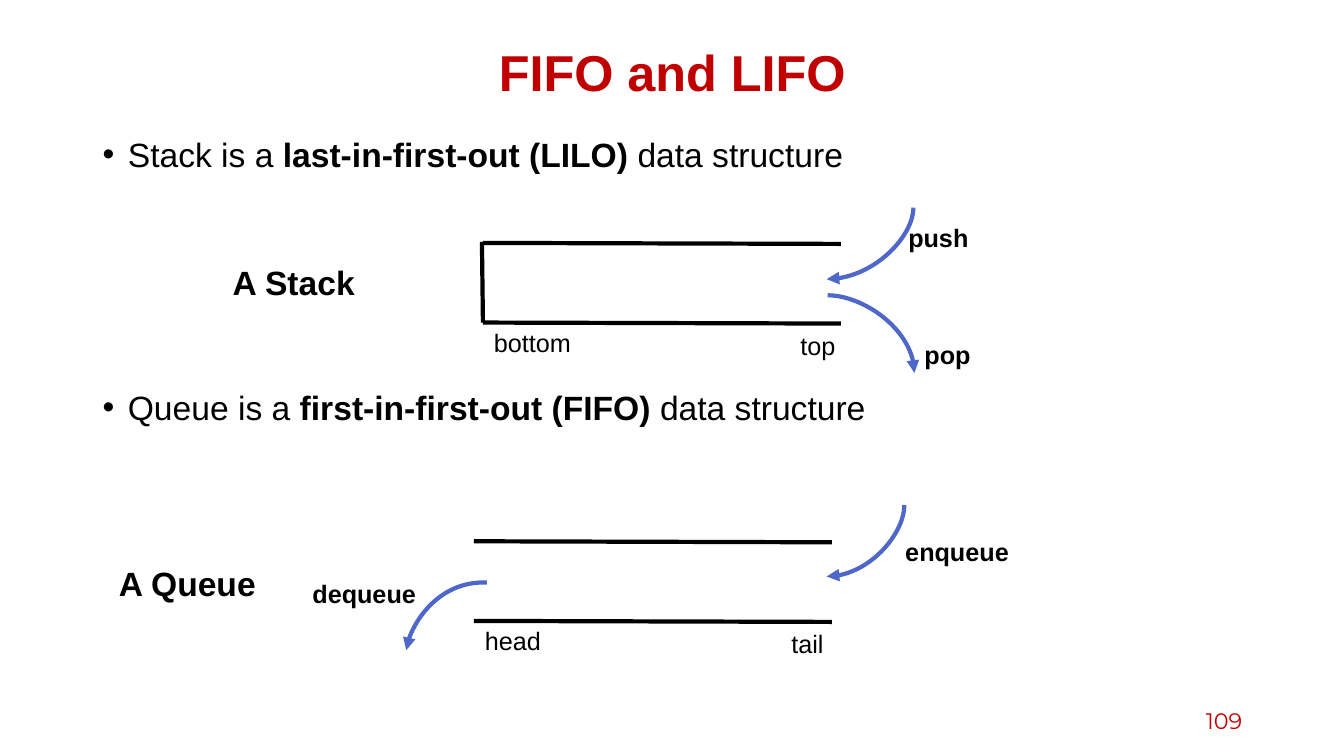
import pptx
import pptx.util
import pptx.dml.color
import pptx.enum.text
import pptx.enum.shapes
import pptx.oxml
import pptx.oxml.ns
from pptx.util import Inches

ALIGN = pptx.enum.text.PP_ALIGN
ANCHOR = pptx.enum.text.MSO_ANCHOR


def rgb(value):
    return pptx.dml.color.RGBColor.from_string(value)


def sub(parent, tag, **attrs):
    el = pptx.oxml.parse_xml(f"<a:{tag} {pptx.oxml.ns.nsdecls('a')}/>")
    for name, value in attrs.items():
        el.set(name, value)
    parent.append(el)
    return el


def add_run(p, text, size=18, bold=False, color="000000", font="Arial"):
    r = p.add_run()
    r.text = text
    r.font.size = pptx.util.Pt(size)
    r.font.bold = bold
    r.font.name = font
    r.font.color.rgb = rgb(color)


class Deck:
    black, red, blue = "000000", "C00000", "4E67C8"
    line_width = 3

    def __init__(self, width, height):
        self.prs = pptx.Presentation()
        self.prs.slide_width = Inches(width)
        self.prs.slide_height = Inches(height)
        self.s = self.prs.slides.add_slide(self.prs.slide_layouts[6])

    def frame(self, box, anchor=ANCHOR.TOP):
        tf = self.s.shapes.add_textbox(*map(Inches, box)).text_frame
        tf.word_wrap = True
        tf.vertical_anchor = anchor
        return tf

    def text(self, text, box, align=ALIGN.LEFT, anchor=ANCHOR.TOP, spacing=1.0, **fmt):
        p = self.frame(box, anchor).paragraphs[0]
        p.alignment = align
        p.line_spacing = spacing
        add_run(p, text, **fmt)

    def bullets(self, box, items, gap, size):
        tf = self.frame(box)
        for i, runs in enumerate(items):
            p = tf.add_paragraph() if i else tf.paragraphs[0]
            pPr = p._p.get_or_add_pPr()
            pPr.set("marL", str(Inches(0.25)))
            pPr.set("indent", str(-Inches(0.25)))
            sub(pPr, "buFont", typeface="Arial")
            sub(pPr, "buChar", char="•")
            p.line_spacing = 0.9
            if i:
                p.space_before = pptx.util.Pt(gap)
            for text, bold in runs:
                add_run(p, text, size=size, bold=bold)

    def stroke(self, sp, color):
        sp.line.color.rgb = rgb(color)
        sp.line.width = pptx.util.Pt(self.line_width)

    def line(self, x1, y1, x2, y2):
        sp = self.s.shapes.add_connector(
            pptx.enum.shapes.MSO_CONNECTOR.STRAIGHT, *map(Inches, (x1, y1, x2, y2)))
        self.stroke(sp, self.black)
        sub(sp._element.spPr, "effectLst")

    def curved_arrow(self, start, *points):
        fb = self.s.shapes.build_freeform(Inches(start[0]), Inches(start[1]))
        fb.add_line_segments([(Inches(x), Inches(y)) for x, y in points], close=False)
        sp = fb.convert_to_shape()
        sp.shadow.inherit = False
        sp.fill.background()
        self.stroke(sp, self.blue)
        sub(sp.line._get_or_add_ln(), "tailEnd", type="triangle")
        segments = sp._element.findall(".//" + pptx.oxml.ns.qn("a:lnTo"))
        curve = sub(segments[0].getparent(), "cubicBezTo")
        for segment in segments:
            curve.append(segment[0])
            segment.getparent().remove(segment)


def main():
    d = Deck(13.33, 7.5)
    d.text("FIFO and LIFO", (0.92, 0.4, 11.5, 0.7), align=ALIGN.CENTER,
           anchor=ANCHOR.MIDDLE, spacing=0.9, size=36, bold=True, color=d.red)
    d.bullets((0.92, 1.32, 11.5, 5.51), [
        [("Stack is a ", False), ("last-in-first-out (LILO)", True),
         (" data structure", False)],
        [("Queue is a ", False), ("first-in-first-out (FIFO) ", True),
         ("data structure", False)],
    ], gap=155, size=24)
    d.text("109", (9.42, 6.95, 3, 0.4), align=ALIGN.RIGHT, anchor=ANCHOR.MIDDLE,
           size=16, color=d.red, font="Montserrat")

    for left, right, top in ((4.79, 8.34, 2.41), (4.7, 8.25, 5.37)):
        for y in (top, top + 0.79):
            d.line(left, y, right, y + 0.01)
    d.line(4.79, 3.2, 4.78, 2.4)

    d.curved_arrow((9.06, 2.06), (9.06, 2.32), (8.67, 2.77), (8.2, 2.77))
    d.curved_arrow((8.21, 2.93), (8.53, 2.93), (9.07, 3.27), (9.07, 3.7))
    d.curved_arrow((8.97, 5.01), (8.97, 5.27), (8.62, 5.72), (8.2, 5.72))
    d.curved_arrow((4.83, 5.78), (4.41, 5.76), (4.05, 6.19), (4.03, 6.45))

    for text, x, y in (("A Stack", 2.21, 2.55), ("A Queue", 1.08, 5.54)):
        d.text(text, (x, y, 1.68, 0.5), size=24, bold=True)
    for text, x, y in (("push", 8.91, 2.16), ("pop", 9.07, 3.32),
                       ("enqueue", 8.88, 5.27), ("dequeue", 3, 5.69)):
        d.text(text, (x, y, 1.68, 0.4), bold=True)
    for text, x, y, width in (("bottom", 4.8, 3.2, 1.2), ("top", 7.84, 3.23, 0.63),
                              ("head", 4.71, 6.15, 0.89), ("tail", 7.75, 6.18, 0.63)):
        d.text(text, (x, y, width, 0.4))

    d.prs.save("out.pptx")


if __name__ == "__main__":
    main()
